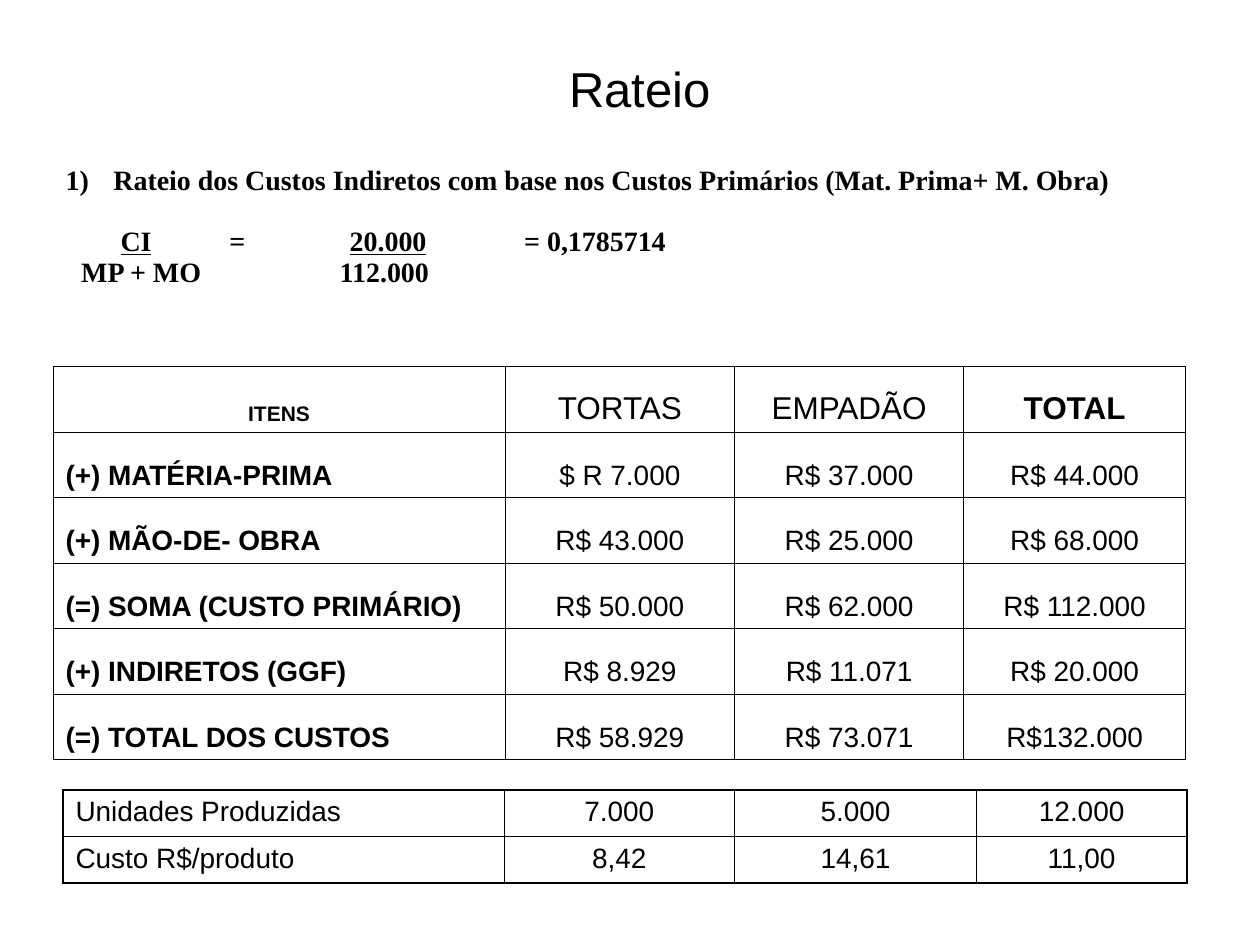
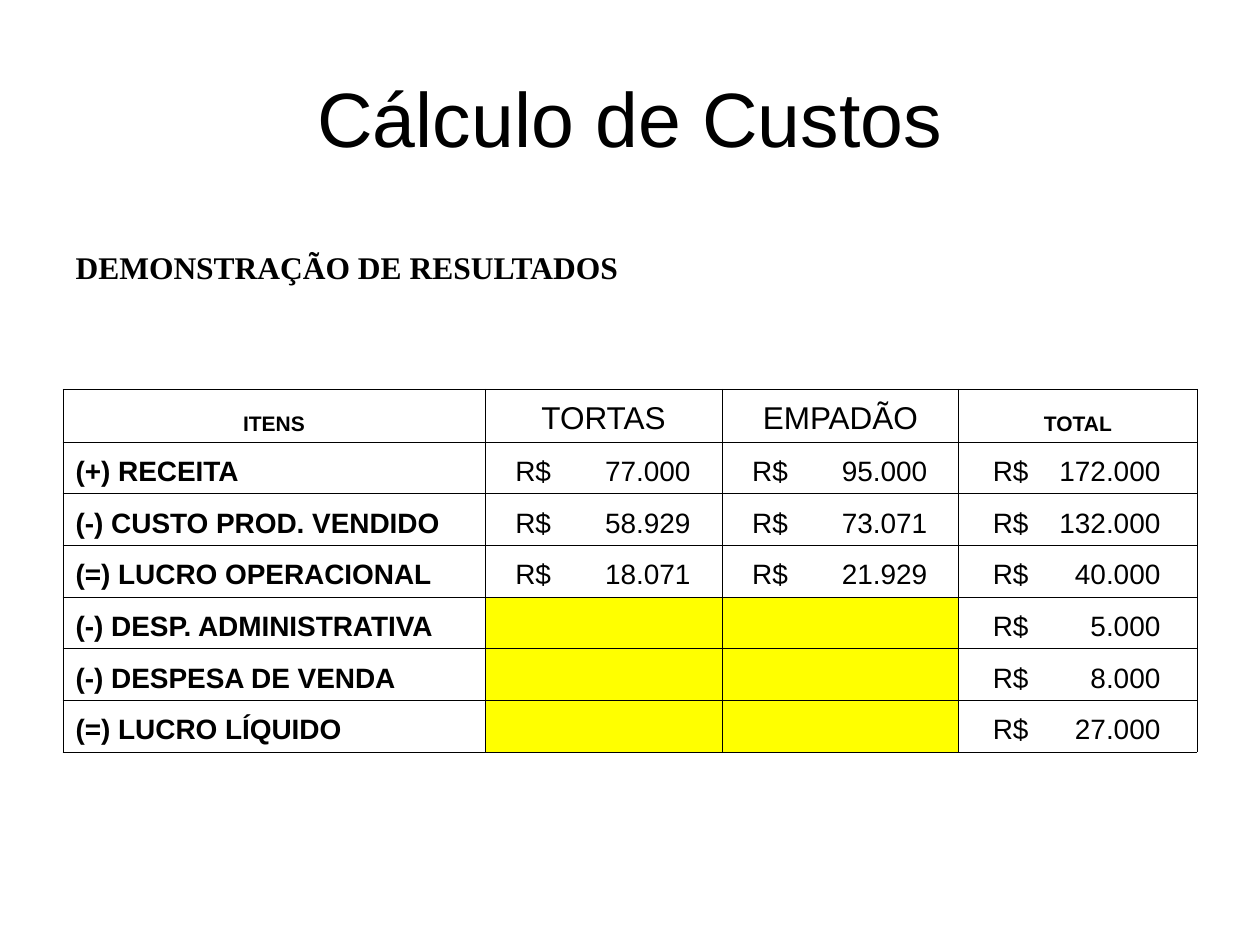
import pptx
import pptx.dml.color
import pptx.enum.text
import pptx.oxml.ns
import pptx.util
from lxml import etree

Inches = pptx.util.Inches
Pt = pptx.util.Pt
ALIGN = pptx.enum.text.PP_ALIGN
ANCHOR = pptx.enum.text.MSO_ANCHOR
qn = pptx.oxml.ns.qn

HUES = {"ink": "000000", "void": "FFFF00"}
SANS, SERIF = "Arial", "Times New Roman"
PLAIN = "{2D5ABB26-0587-4C30-8999-92F81FD0307C}"
THIN, THICK = 0.45, 1.08


def hue(name):
    """Return the named colour."""
    return pptx.dml.color.RGBColor.from_string(HUES[name])


def write(para, text, size=16, font=SANS, bold=False, line=False, align=None, gap=0):
    """Add a formatted run to a paragraph."""
    run = para.add_run()
    run.text = text
    run.font.size, run.font.name = Pt(size), font
    run.font.bold, run.font.underline = bold, line
    run.font.color.rgb = hue("ink")
    para.alignment = align or ALIGN.LEFT
    para.space_before = Pt(gap)


def stops(para, marks):
    """Set tab stops given as (inches, kind) pairs."""
    props = para._p.get_or_add_pPr()
    tabs = etree.SubElement(props, qn("a:tabLst"))
    for place, kind in marks:
        etree.SubElement(tabs, qn("a:tab"), pos=str(Inches(place)), algn=kind)


def number(para):
    """Give a paragraph a hanging 1) number."""
    props = para._p.get_or_add_pPr()
    props.set("marL", str(Inches(0.38)))
    props.set("indent", str(-Inches(0.38)))
    etree.SubElement(props, qn("a:buFont"), typeface=SERIF)
    etree.SubElement(props, qn("a:buAutoNum"), type="arabicParenR")


def edge(cell, **sides):
    """Draw cell borders with point widths keyed by side L, R, T, B."""
    props = cell._tc.get_or_add_tcPr()
    for side in "LRTB":
        if side in sides:
            line = etree.SubElement(props, qn("a:ln" + side), w=str(Pt(sides[side])))
            fill = etree.SubElement(line, qn("a:solidFill"))
            etree.SubElement(fill, qn("a:srgbClr"), val=HUES["ink"])


def title(slide, text, box, size):
    """Place a centred title in the box."""
    frame = slide.shapes.add_textbox(*map(Inches, box)).text_frame
    frame.word_wrap = True
    frame.vertical_anchor = ANCHOR.MIDDLE
    write(frame.paragraphs[0], text, size=size, align=ALIGN.CENTER)


def grid(slide, left, top, cols, rows):
    """Add a bare table from its column widths and row heights."""
    box = map(Inches, (left, top, sum(cols), sum(rows)))
    table = slide.shapes.add_table(len(rows), len(cols), *box).table
    table.first_row = table.horz_banding = False
    table._tbl.tblPr.find(qn("a:tableStyleId")).text = PLAIN
    for col, width in zip(table.columns, cols):
        col.width = Inches(width)
    for row, height in zip(table.rows, rows):
        row.height = Inches(height)
    return table


def heads(table, sizes):
    """Fill the heading row, which is the third of the table."""
    names = ("ITENS", "TORTAS", "EMPADÃO", "TOTAL")
    for col, (name, size) in enumerate(zip(names, sizes)):
        cell = table.cell(2, col)
        edge(cell, L=THIN, R=THIN, T=THIN, B=THIN)
        cell.vertical_anchor = ANCHOR.BOTTOM
        write(cell.text_frame.paragraphs[0], name, size=size,
              bold=col in (0, 3), align=ALIGN.CENTER)


def body(table, lines, split=False):
    """Fill the rows below the heading; split sets currency and sum apart."""
    for row, line in enumerate(lines, 3):
        for col, text in enumerate(line):
            cell = table.cell(row, col)
            edge(cell, L=THIN, R=THIN, T=THIN, B=THIN)
            cell.vertical_anchor = ANCHOR.BOTTOM
            if not text:
                cell.fill.solid()
                cell.fill.fore_color.rgb = hue("void")
                continue
            para = cell.text_frame.paragraphs[0]
            if col and split:
                cell.margin_left = Inches(0.27 if col == 3 else 0.24)
                stops(para, [(1.33 if col == 3 else 1.39, "r")])
                write(para, "R$\t" + text)
            else:
                write(para, text, bold=col == 0,
                      align=ALIGN.CENTER if col else ALIGN.LEFT)


def ratio(cell):
    """Write the numbered heading and the ratio under it."""
    cell.vertical_anchor = ANCHOR.BOTTOM
    frame = cell.text_frame
    head, upper, lower = frame.paragraphs[0], frame.add_paragraph(), frame.add_paragraph()
    look = dict(font=SERIF, bold=True)
    write(head, "Rateio dos Custos Indiretos com base nos Custos Primários "
          "(Mat. Prima+ M. Obra)", **look)
    number(head)
    for text, line in (("\tCI\t", True), ("\t=\t", False),
                       ("\t20.000\t", True), ("\t= 0,1785714", False)):
        write(upper, text, line=line, gap=17, **look)
    stops(upper, [(0.56, "ctr"), (1.18, "l"), (1.3, "l"), (1.75, "l"),
                  (2.56, "ctr"), (3.31, "l"), (3.64, "l")])
    write(lower, "\tMP + MO\t112.000", **look)
    stops(lower, [(0.6, "ctr"), (2.53, "ctr")])


def units(slide, left, top):
    """Add the table of units and unit costs with a thick outline."""
    lines = (("Unidades Produzidas", "7.000", "5.000", "12.000"),
             ("Custo R$/produto", "8,42", "14,61", "11,00"))
    table = grid(slide, left, top, (3.5, 1.83, 1.92, 1.67), (0.37,) * 2)
    for row, line in enumerate(lines):
        for col, text in enumerate(line):
            cell = table.cell(row, col)
            edge(cell, L=THIN if col else THICK, R=THICK if col == 3 else THIN,
                 T=THIN if row else THICK, B=THICK if row else THIN)
            write(cell.text_frame.paragraphs[0], text, gap=4,
                  align=ALIGN.CENTER if col else ALIGN.LEFT)


def share(slide):
    """Build the slide on sharing indirect costs."""
    title(slide, "Rateio", (0.58, 0.33, 9, 0.73), 28)
    table = grid(slide, 0.42, 1.17, (3.59, 1.82, 1.82, 1.76),
                 (1.17, 0.57, *(0.52,) * 6, 0.98))
    table.cell(0, 0).merge(table.cell(0, 3))
    ratio(table.cell(0, 0))
    heads(table, (12, 18, 18, 18))
    body(table, (
        ("(+) MATÉRIA-PRIMA", "$ R 7.000", "R$ 37.000", "R$ 44.000"),
        ("(+) MÃO-DE- OBRA", "R$ 43.000", "R$ 25.000", "R$ 68.000"),
        ("(=) SOMA (CUSTO PRIMÁRIO)", "R$ 50.000", "R$ 62.000", "R$ 112.000"),
        ("(+) INDIRETOS (GGF)", "R$ 8.929", "R$ 11.071", "R$ 20.000"),
        ("(=) TOTAL DOS CUSTOS", "R$ 58.929", "R$ 73.071", "R$132.000"),
    ))
    units(slide, 0.5, 6.27)


def profit(slide):
    """Build the slide with the statement of results."""
    title(slide, "Cálculo de Custos", (0.5, 0.3, 9, 1.25), 44)
    table = grid(slide, 0.5, 1.55, (3.35, 1.88, 1.88, 1.89),
                 (0.77, 0.77, 0.42, *(0.41,) * 6, 0.77))
    lead = table.cell(0, 0)
    lead.merge(table.cell(0, 1))
    lead.vertical_anchor = ANCHOR.BOTTOM
    write(lead.text_frame.paragraphs[0], "DEMONSTRAÇÃO DE RESULTADOS",
          size=18, font=SERIF, bold=True)
    heads(table, (12, 18, 18, 12))
    body(table, (
        ("(+) RECEITA", "77.000", "95.000", "172.000"),
        ("(-) CUSTO PROD. VENDIDO", "58.929", "73.071", "132.000"),
        ("(=) LUCRO OPERACIONAL", "18.071", "21.929", "40.000"),
        ("(-) DESP. ADMINISTRATIVA", "", "", "5.000"),
        ("(-) DESPESA DE VENDA", "", "", "8.000"),
        ("(=) LUCRO LÍQUIDO", "", "", "27.000"),
    ), split=True)


def main():
    """Build and save the deck."""
    deck = pptx.Presentation()
    deck.slide_width, deck.slide_height = Inches(10), Inches(7.5)
    for build in (share, profit):
        build(deck.slides.add_slide(deck.slide_layouts[6]))
    deck.save("out.pptx")


if __name__ == "__main__":
    main()
